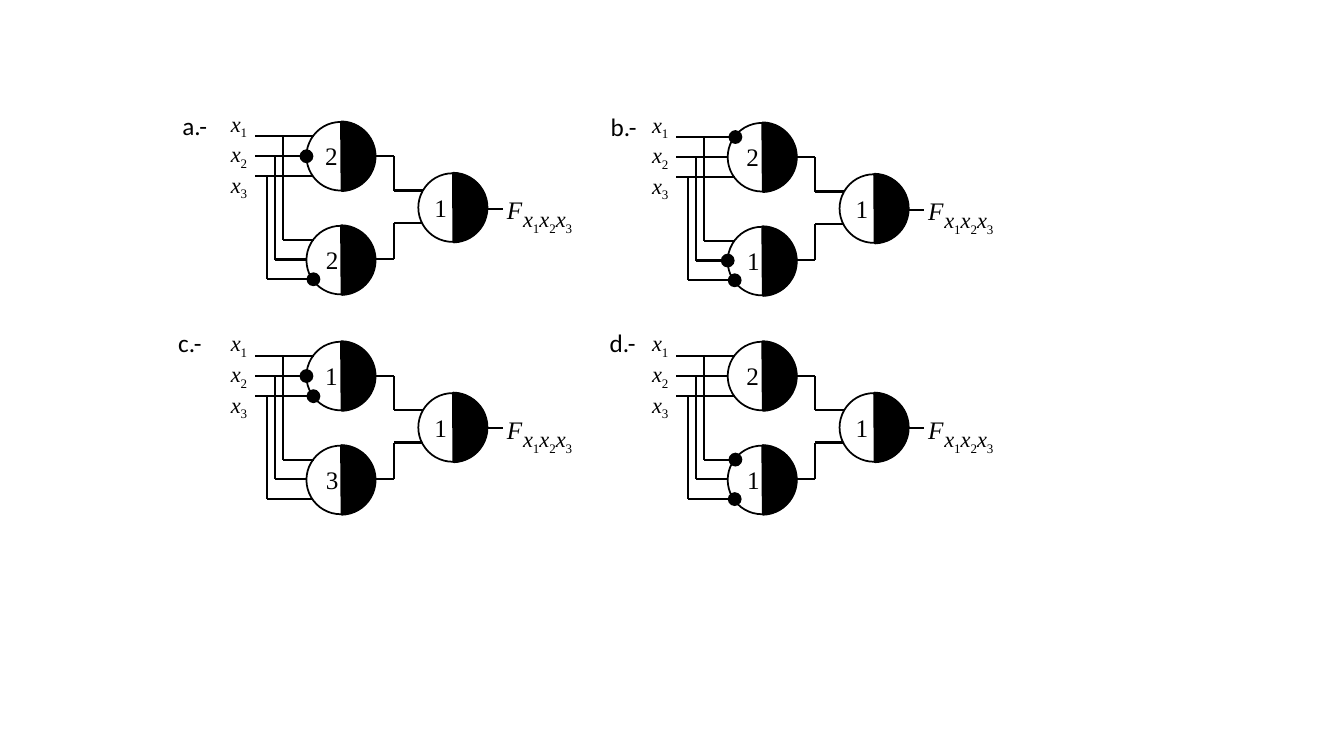
import pptx
import pptx.dml.color
import pptx.enum.shapes
import pptx.enum.text
import pptx.oxml.ns
import pptx.util
from lxml import etree

Pt = pptx.util.Pt
SHAPE = pptx.enum.shapes.MSO_SHAPE
ALIGN = pptx.enum.text.PP_ALIGN
ANCHOR = pptx.enum.text.MSO_ANCHOR
BLACK = pptx.dml.color.RGBColor(0, 0, 0)
WHITE = pptx.dml.color.RGBColor(255, 255, 255)
SERIF = "Times New Roman"

# Thresholds and negated inputs (0 to 2) are given for the upper and lower neuron.
CIRCUITS = [
    {"label": "a.-", "label_at": (123.1, 74.9), "origin": (218.9, 87.1),
     "thresholds": ("2", "2"), "negated": ((1,), (2,))},
    {"label": "b.-", "label_at": (429.1, 76.3), "origin": (519.8, 87.8),
     "thresholds": ("2", "1"), "negated": ((0,), (1, 2))},
    {"label": "c.-", "label_at": (120.2, 230.4), "origin": (218.9, 244.1),
     "thresholds": ("1", "3"), "negated": ((1, 2), ())},
    {"label": "d.-", "label_at": (428.4, 230.4), "origin": (519.8, 244.1),
     "thresholds": ("2", "1"), "negated": ((), (0, 2))},
]
OUTPUT_THRESHOLD = "1"
VARIABLES = [[("x", False), (digit, True)] for digit in "123"]

# Lengths in points, measured from the corner of each circuit's upper neuron.
DIAMETER = 49
LOWER_TOP = 74.2
OUTPUT_LEFT, OUTPUT_TOP = 79.9, 36.7
INPUT_LEFT = -36.7
INPUT_ENDS = (5.5, 0, 5)
INPUT_TOPS = [10.1 + 14.4 * i for i in range(3)]
BRANCH_TOPS = [84.2 + 14.1 * i for i in range(3)]
BRANCH_LEFTS = [-16.6 - 5.75 * i for i in range(3)]
JOIN_LEFT, JOIN_END = 62.6, 94.3
JOINS = [(24.5, 49), (97.9, 72)]


def add_text(shapes, paragraphs, left, top, width, height, *, size=18, font=SERIF,
             italic=False, align=ALIGN.LEFT, anchor=ANCHOR.TOP, wrap=True):
    """Each paragraph is a list of (text, is_subscript) runs."""
    box = shapes.add_textbox(Pt(left), Pt(top), Pt(width), Pt(height))
    frame = box.text_frame
    frame.word_wrap = wrap
    frame.vertical_anchor = anchor
    for index, runs in enumerate(paragraphs):
        paragraph = frame.paragraphs[0] if index == 0 else frame.add_paragraph()
        paragraph.alignment = align
        for text, is_subscript in runs:
            run = paragraph.add_run()
            run.text = text
            run.font.name = font
            run.font.size = Pt(size)
            run.font.italic = italic and not is_subscript
            run.font.color.rgb = BLACK
            if is_subscript:
                run.font._element.set("baseline", "-25000")


def add_wire(shapes, x1, y1, x2, y2, negated=False):
    wire = shapes.add_connector(pptx.enum.shapes.MSO_CONNECTOR.STRAIGHT,
                                Pt(x1), Pt(y1), Pt(x2), Pt(y2))
    wire.line.color.rgb = BLACK
    wire.line.width = Pt(1.5)
    qn = pptx.oxml.ns.qn
    if negated:
        etree.SubElement(wire.line._get_or_add_ln(), qn("a:tailEnd"),
                         type="oval", w="lg", len="lg")
    etree.SubElement(wire._element.spPr, qn("a:effectLst"))


def add_disc(shapes, kind, left, top, fill, line_width):
    disc = shapes.add_shape(kind, Pt(left), Pt(top), Pt(DIAMETER), Pt(DIAMETER))
    disc.shadow.inherit = False
    disc.fill.solid()
    disc.fill.fore_color.rgb = fill
    disc.line.color.rgb = BLACK
    disc.line.width = Pt(line_width)
    return disc


def add_neuron(shapes, left, top, threshold, text_inset):
    add_disc(shapes, SHAPE.OVAL, left, top, WHITE, 1.25)
    add_text(shapes, [[(threshold, False)]], left + text_inset, top - 0.3, 24.5, DIAMETER,
             align=ALIGN.CENTER, anchor=ANCHOR.MIDDLE)
    half = add_disc(shapes, SHAPE.CHORD, left, top, BLACK, 2)
    half.adjustments[0] = 162.782
    half.adjustments[1] = 52.715


def add_circuit(slide, circuit):
    shapes = slide.shapes.add_group_shape().shapes
    x, y = circuit["origin"]

    for neuron_y, join_y in JOINS:
        add_wire(shapes, x + 45.4, y + neuron_y, x + JOIN_LEFT, y + neuron_y)
        add_wire(shapes, x + JOIN_LEFT, y + neuron_y, x + JOIN_LEFT, y + join_y)
        add_wire(shapes, x + JOIN_LEFT, y + join_y, x + JOIN_END, y + join_y)
    add_wire(shapes, x + 119.5, y + 61.9, x + 140.4, y + 61.9)

    upper, lower = circuit["thresholds"]
    add_neuron(shapes, x, y, upper, 5.6)
    add_neuron(shapes, x, y + LOWER_TOP, lower, 6.2)
    add_neuron(shapes, x + OUTPUT_LEFT, y + OUTPUT_TOP, OUTPUT_THRESHOLD, 3.8)

    upper_negated, lower_negated = circuit["negated"]
    wires = zip(INPUT_ENDS, INPUT_TOPS, BRANCH_LEFTS, BRANCH_TOPS)
    for i, (end, input_y, branch_x, branch_y) in enumerate(wires):
        add_wire(shapes, x + INPUT_LEFT, y + input_y, x + end, y + input_y,
                 i in upper_negated)
        add_wire(shapes, x + branch_x, y + input_y, x + branch_x, y + branch_y)
        add_wire(shapes, x + branch_x, y + branch_y, x + end, y + branch_y,
                 i in lower_negated)

    add_text(shapes, VARIABLES, x - 63.4, y - 12.2, 28.1, 67.7,
             size=16, italic=True, align=ALIGN.RIGHT)
    add_text(shapes, [[("F", False)]], x + 136.1, y + 48.2, 26, 29,
             italic=True, wrap=False)
    add_text(shapes, [sum(VARIABLES, [])], x + 147.6, y + 56.2, 57, 26.6,
             size=16, italic=True)


def main():
    presentation = pptx.Presentation()
    presentation.slide_width = Pt(960)
    presentation.slide_height = Pt(540)
    slide = presentation.slides.add_slide(presentation.slide_layouts[6])
    for circuit in CIRCUITS:
        add_circuit(slide, circuit)
        add_text(slide.shapes, [[(circuit["label"], False)]], *circuit["label_at"], 34, 29,
                 font="Calibri", wrap=False)
    presentation.save("out.pptx")


if __name__ == "__main__":
    main()
